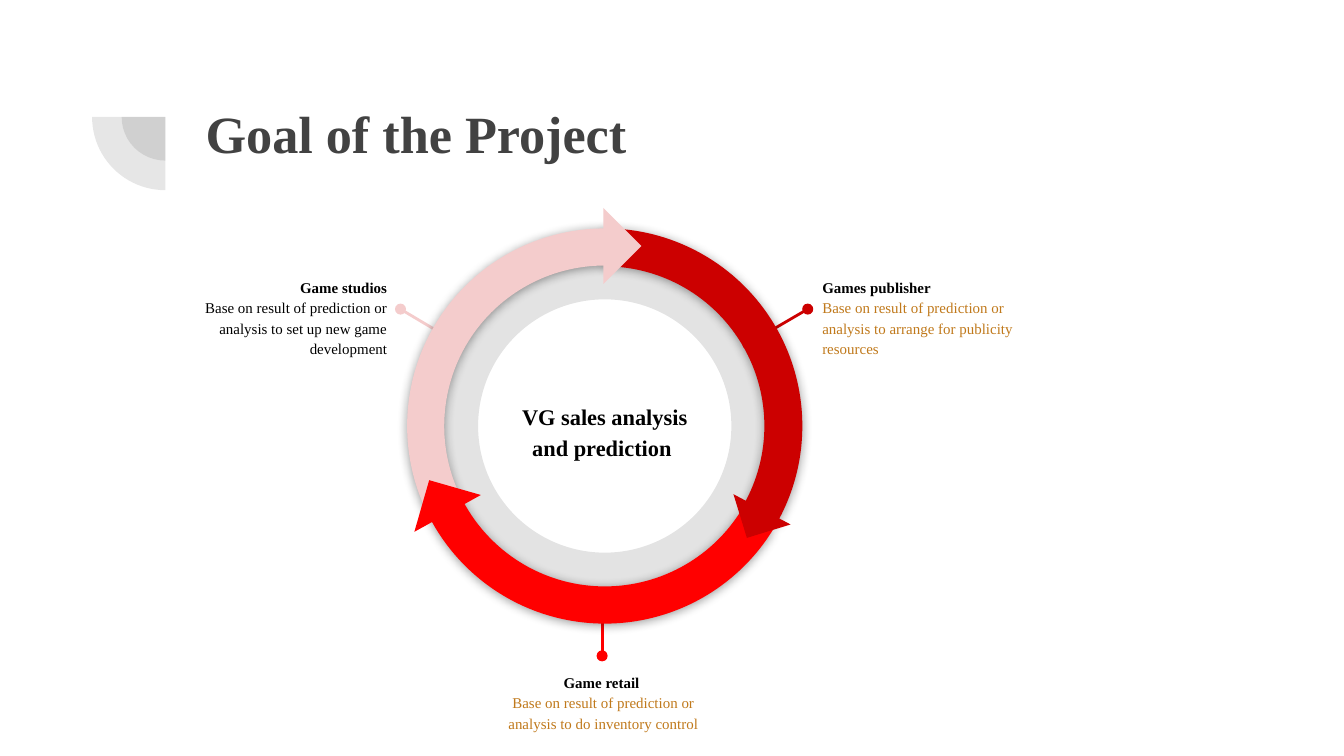
from lxml import etree
from pptx import Presentation
from pptx.dml.color import RGBColor
from pptx.enum.shapes import MSO_CONNECTOR, MSO_SHAPE
from pptx.enum.text import MSO_ANCHOR, MSO_AUTO_SIZE, PP_ALIGN
from pptx.oxml.ns import qn
from pptx.util import Inches, Pt

LEFT, CENTER, RIGHT = PP_ALIGN.LEFT, PP_ALIGN.CENTER, PP_ALIGN.RIGHT
TOP, MIDDLE = MSO_ANCHOR.TOP, MSO_ANCHOR.MIDDLE
PIE, DONUT = MSO_SHAPE.PIE, MSO_SHAPE.DONUT
ARC, TRIANGLE = MSO_SHAPE.BLOCK_ARC, MSO_SHAPE.RIGHT_TRIANGLE
FONT = "Times New Roman"
BLACK, GRAY, BROWN = "000000", "424242", "C0791B"
DARK_RED, PINK, RED = "CC0000", "F4CCCC", "FF0000"
RING_CENTER = (4.5, 3.17)
ORNAMENT_CENTER = (1.23, 0.87)

# Content
TITLE = "Goal of the Project"
HUB = "VG sales analysis and prediction "
# heading, body, body colour, alignment, text left and top, line from and to, line colour
GOALS = [
    ("Game studios",
     "Base on result of prediction or analysis to set up new game development",
     BLACK, RIGHT, (1.34, 1.95), (2.98, 2.3), (3.45, 2.58), PINK),
    ("Games publisher",
     "Base on result of prediction or analysis to arrange for publicity resources",
     BROWN, LEFT, (6.02, 1.95), (6.01, 2.3), (5.53, 2.58), DARK_RED),
    ("Game retail ",
     "Base on result of prediction or analysis to do inventory control",
     BROWN, CENTER, (3.67, 4.89), (4.48, 4.88), (4.48, 4.37), RED),
]
# kind, centre, size, rotation, colour, adjustments, flipped
CYCLE = [
    (ARC, RING_CENTER, 2.94, 30, DARK_RED, (144.14, 0.01, 0.096), False),
    (ARC, RING_CENTER, 2.94, 330, PINK, (143.49, 214.73, 0.094), True),
    (TRIANGLE, (4.49, 1.83), 0.4, 225, PINK, (), False),
    (ARC, RING_CENTER, 2.94, 210, RED, (143.16, 215.03, 0.094), True),
    (TRIANGLE, (5.67, 3.79), 0.34, 342.9, DARK_RED, (), False),
    (TRIANGLE, (3.33, 3.82), 0.4, 106, RED, (), False),
]

# 16:9 slide
prs = Presentation()
prs.slide_width = Inches(10)
prs.slide_height = prs.slide_width * 9 // 16
s = prs.slides.add_slide(prs.slide_layouts[5])


def rgb(color):
    return RGBColor.from_string(color)


def add_child(parent, tag, **attrs):
    child = etree.SubElement(parent, qn(tag))
    for name, value in attrs.items():
        child.set(name, str(value))
    return child


def add_round(kind, center, size, color, rotation=0, adj=(), alpha=100):
    x, y = center
    sp = s.shapes.add_shape(kind, Inches(x - size / 2), Inches(y - size / 2),
                            Inches(size), Inches(size))
    sp.rotation = rotation
    sp.shadow.inherit = False
    sp.line.fill.background()
    sp.fill.solid()
    sp.fill.fore_color.rgb = rgb(color)
    for i, value in enumerate(adj):
        sp.adjustments[i] = value
    if alpha < 100:
        clr = sp._element.spPr.find(".//" + qn("a:srgbClr"))
        add_child(clr, "a:alpha", val=alpha * 1000)
    return sp


def add_shadow(sp):
    effects = sp._element.spPr.find(qn("a:effectLst"))
    shadow = add_child(effects, "a:outerShdw", blurRad=Pt(5.6), dist=Pt(0.8),
                       dir=90 * 60000, algn="bl", rotWithShape=0)
    add_child(add_child(shadow, "a:srgbClr", val=BLACK), "a:alpha", val=40000)


def write(sp, paragraphs, size, align, anchor=TOP, spacing=None):
    """Fill a text frame; paragraphs are (text, colour, bold)."""
    tf = sp.text_frame
    tf.word_wrap = True
    tf.auto_size = MSO_AUTO_SIZE.NONE
    tf.vertical_anchor = anchor
    tf.margin_left = tf.margin_right = Inches(0.1)
    tf.margin_top = tf.margin_bottom = Inches(0.1)
    tf.text = "\n".join(text for text, _, _ in paragraphs)
    for p, (_, color, bold) in zip(tf.paragraphs, paragraphs):
        p.alignment = align
        if spacing:
            p.line_spacing = spacing
        font = p.runs[0].font
        font.name, font.size, font.bold = FONT, Pt(size), bold
        font.color.rgb = rgb(color)


def add_text(left, top, width, height, *args, **kwargs):
    box = s.shapes.add_textbox(Inches(left), Inches(top), Inches(width), Inches(height))
    write(box, *args, spacing=1.15, **kwargs)


# Title and its quarter-circle ornament
for size in (0.65, 1.09):
    add_round(PIE, ORNAMENT_CENTER, size, GRAY, 270, (107.93, 162), alpha=13)
title = s.shapes.title
title.left, title.top = Inches(1.43), Inches(0.65)
title.width, title.height = Inches(7.69), Inches(1.09)
write(title, [(TITLE, GRAY, True)], 28, LEFT)

# Inner ring
add_round(DONUT, RING_CENTER, 2.78, BLACK, adj=(0.161,), alpha=11)

# Goals with their callout lines
for heading, body, color, align, at, start, end, line_color in GOALS:
    line = s.shapes.add_connector(MSO_CONNECTOR.STRAIGHT,
                                  *(Inches(v) for v in start + end))
    line.line.color.rgb = rgb(line_color)
    line.line.width = Pt(1.5)
    add_child(line.line._get_or_add_ln(), "a:headEnd", type="oval")
    add_child(line._element.spPr, "a:effectLst")
    add_text(*at, 1.64, 0.73, [(heading, BLACK, True), (body, color, False)], 8, align)

# Hub text
add_text(3.71, 2.76, 1.58, 0.88, [(HUB, BLACK, True)], 12, CENTER, anchor=MIDDLE)

# Cycle of arcs and arrowheads
for kind, center, size, rotation, color, adj, flipped in CYCLE:
    sp = add_round(kind, center, size, color, rotation, adj)
    if flipped:
        sp._element.spPr.find(qn("a:xfrm")).set("flipH", "1")
    if kind == ARC:
        add_shadow(sp)

prs.save("out.pptx")
